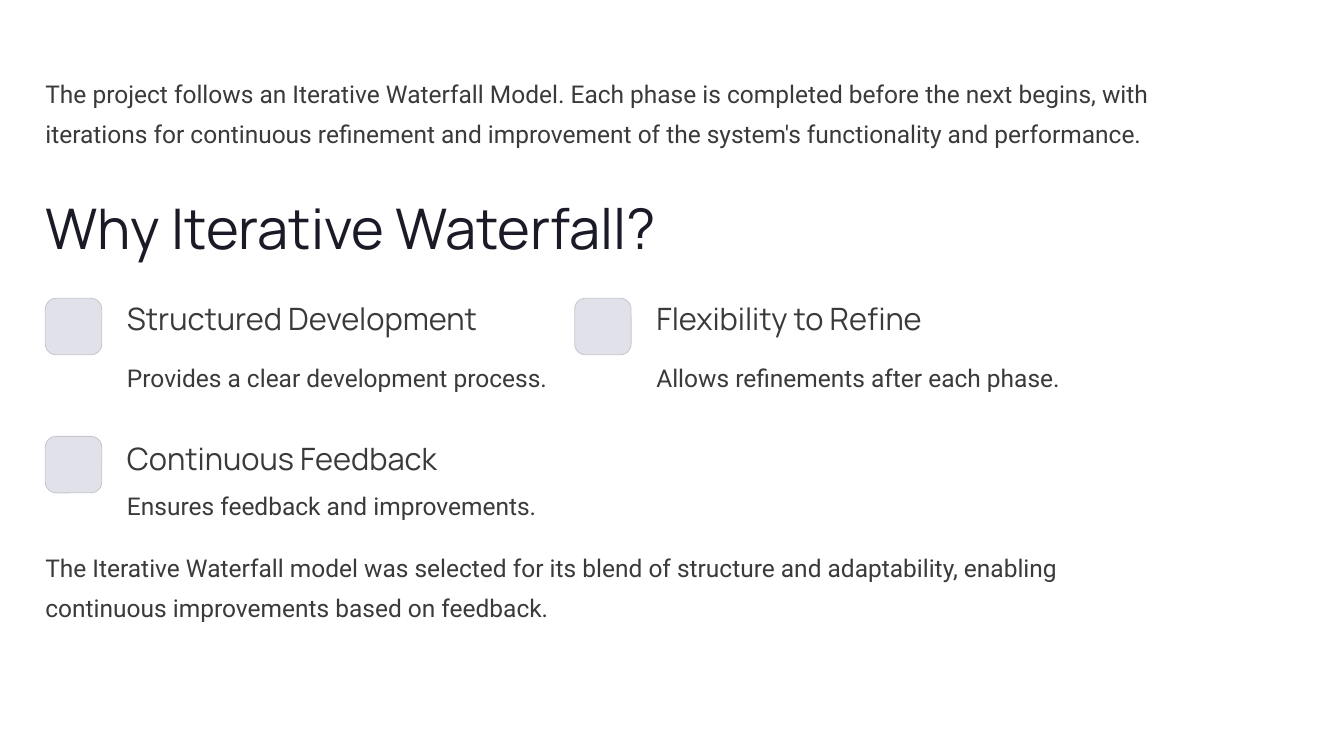
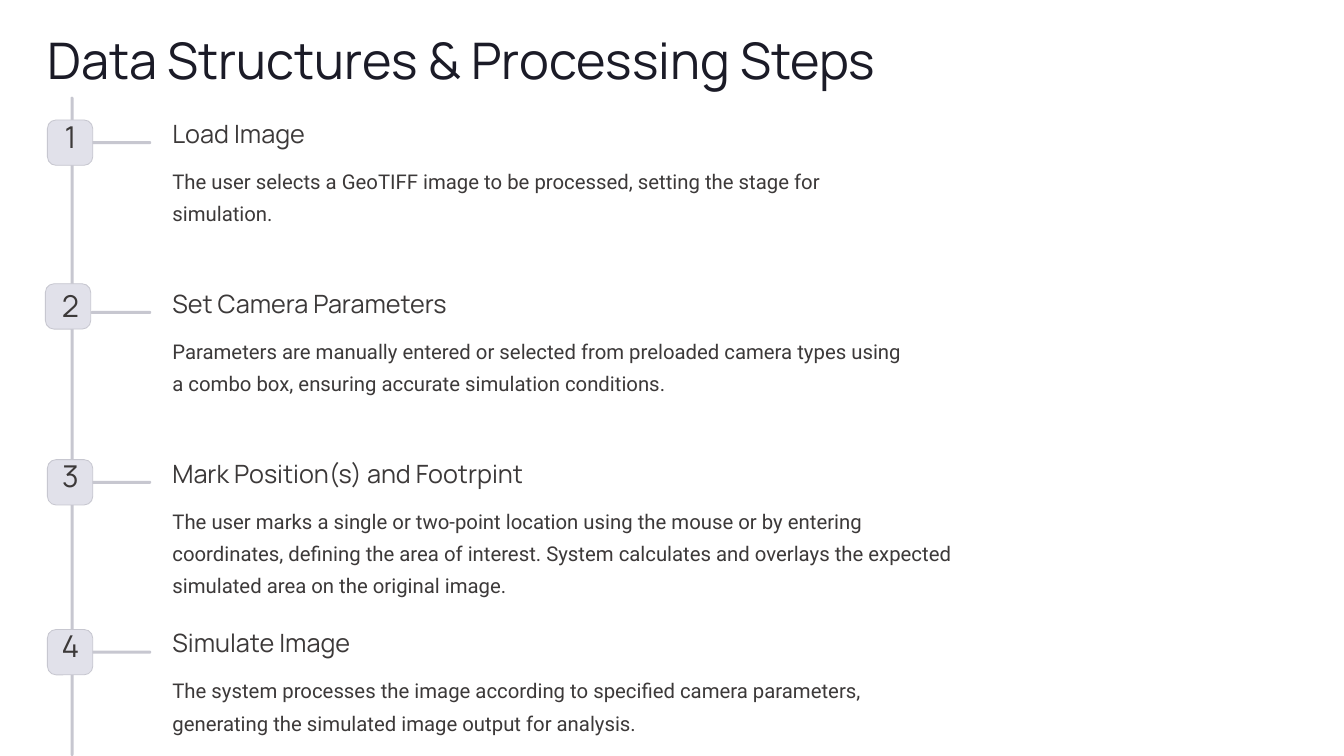
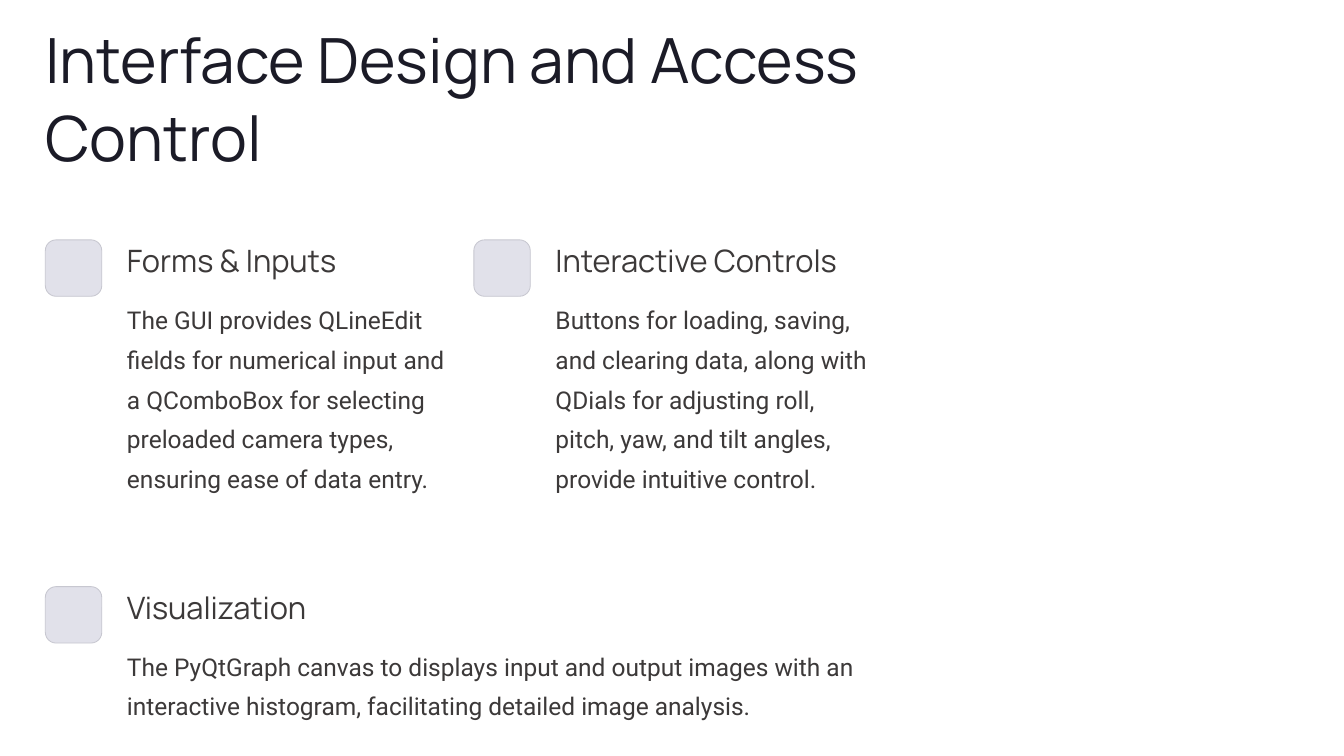
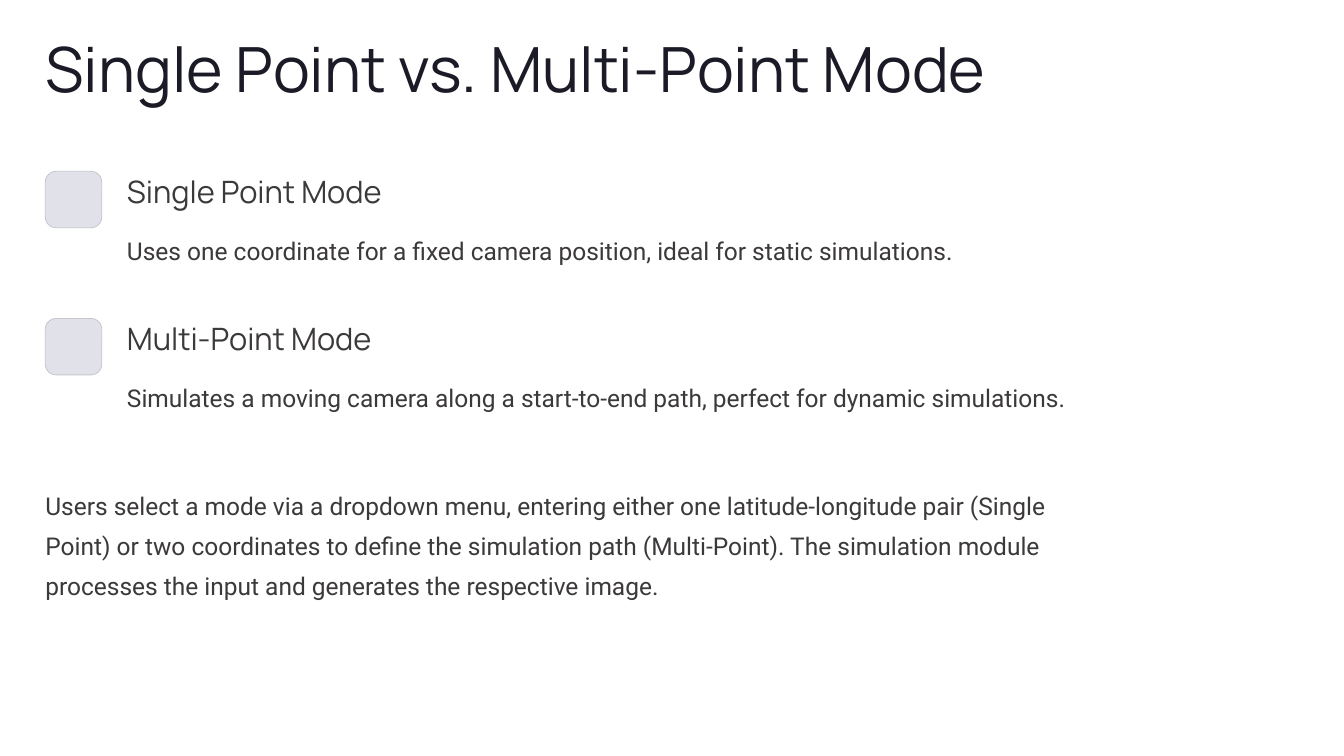
from dataclasses import dataclass

from pptx import Presentation
from pptx.dml.color import RGBColor
from pptx.enum.shapes import MSO_SHAPE
from pptx.enum.text import MSO_ANCHOR, MSO_AUTO_SIZE, PP_ALIGN
from pptx.presentation import Presentation as Deck
from pptx.shapes.base import BaseShape
from pptx.slide import Slide
from pptx.util import Inches, Pt

NAVY, INK, LILAC, GREY = "1B1B27", "3C3939", "E1E1EA", "C7C7D0"
MARGIN = 0.45
STEP_TOP, STEP_PITCH = 1.16, 1.685


@dataclass(frozen=True)
class Style:
    """Font, sizes in points and colour of one kind of text."""

    font: str
    size: float
    leading: float
    color: str = INK
    align: PP_ALIGN = PP_ALIGN.LEFT


TITLE = Style("Manrope", 44.5, 55.5, NAVY)
SMALL_TITLE = Style("Manrope", 40, 55.5, NAVY)
STEPS_TITLE = Style("Manrope", 36, 45, NAVY)
HEADING = Style("Manrope", 22, 27.5)
BODY = Style("Roboto", 17.5, 28.5)
STEP_NUMBER = Style("Manrope", 21.5, 21.5, align=PP_ALIGN.CENTER)
STEP_HEADING = Style("Manrope", 18, 22.5)
STEP_BODY = Style("Roboto", 14.5, 23)


@dataclass(frozen=True)
class Feature:
    """A badge with a heading and a description beside it."""

    left: float
    top: float
    heading: str
    body: str
    width: float
    height: float = 0.79
    heading_dy: float = 0
    body_dy: float = 0.54


@dataclass(frozen=True)
class Step:
    """One numbered stop on the timeline."""

    heading: str
    body: str
    width: float = 7.36
    height: float = 0.64
    badge_left: float = 0.47
    badge_dy: float = 0.03


WHY_FEATURES = [
    Feature(MARGIN, 2.96, "Structured Development",
            "Provides a clear development process.", 4.3),
    Feature(5.7, 2.96, "Flexibility to Refine",
            "Allows refinements after each phase.", 4.3, 0.4),
    Feature(MARGIN, 4.33, "Continuous Feedback",
            "Ensures feedback and improvements.", 9.46, 0.4, 0.02, 0.44),
]
STEPS = [
    Step("Load Image",
         "The user selects a GeoTIFF image to be processed, setting the stage "
         "for simulation."),
    Step("Set Camera Parameters",
         "Parameters are manually entered or selected from preloaded camera "
         "types using a combo box, ensuring accurate simulation conditions.",
         badge_left=0.45, badge_dy=-0.03),
    Step("Mark Position(s) and Footrpint",
         "The user marks a single or two-point location using the mouse or by "
         "entering coordinates, defining the area of interest. System "
         "calculates and overlays the expected simulated area on the original "
         "image.", 7.89, 0.93),
    Step("Simulate Image",
         "The system processes the image according to specified camera "
         "parameters, generating the simulated image output for analysis."),
]
INTERFACE_FEATURES = [
    Feature(MARGIN, 2.38, "Forms & Inputs",
            "The GUI provides QLineEdit fields for numerical input and a "
            "QComboBox for selecting preloaded camera types, ensuring ease of "
            "data entry.", 3.2, 2.38),
    Feature(4.7, 2.38, "Interactive Controls",
            "Buttons for loading, saving, and clearing data, along with QDials "
            "for adjusting roll, pitch, yaw, and tilt angles, provide "
            "intuitive control.", 3.2, 1.98),
    Feature(MARGIN, 5.82, "Visualization",
            "The PyQtGraph canvas to displays input and output images with an "
            "interactive histogram, facilitating detailed image analysis.",
            7.46),
]
MODE_FEATURES = [
    Feature(MARGIN, 1.7, "Single Point Mode",
            "Uses one coordinate for a fixed camera position, ideal for static "
            "simulations.", 9.46, 0.4),
    Feature(MARGIN, 3.16, "Multi-Point Mode",
            "Simulates a moving camera along a start-to-end path, perfect for "
            "dynamic simulations.", 9.46),
]


def rgb(color: str) -> RGBColor:
    """Turn a hex string into a colour."""
    return RGBColor.from_string(color)


def apply(target: object, values: dict) -> None:
    """Set every attribute named in values."""
    for name, value in values.items():
        setattr(target, name, value)


def write(sp: BaseShape, text: str, style: Style) -> None:
    """Fill a shape with one styled paragraph and no insets."""
    tf = sp.text_frame
    apply(tf, {"margin_left": 0, "margin_top": 0, "margin_right": 0,
               "margin_bottom": 0, "word_wrap": True,
               "auto_size": MSO_AUTO_SIZE.NONE,
               "vertical_anchor": MSO_ANCHOR.TOP})
    p = tf.paragraphs[0]
    apply(p, {"alignment": style.align, "line_spacing": Pt(style.leading),
              "space_before": Pt(0)})
    r = p.add_run()
    r.text = text
    apply(r.font, {"name": style.font, "size": Pt(style.size)})
    r.font.color.rgb = rgb(style.color)


def add_text(s: Slide, left: float, top: float, width: float, height: float,
             text: str, style: Style) -> None:
    """Add a text box."""
    sp = s.shapes.add_textbox(Inches(left), Inches(top), Inches(width),
                              Inches(height))
    write(sp, text, style)


def add_title_slide(prs: Deck, left: float, top: float, width: float,
                    height: float, text: str, style: Style = TITLE) -> Slide:
    """Add a slide whose title placeholder is placed and formatted."""
    s = prs.slides.add_slide(prs.slide_layouts.get_by_name("Title Only"))
    sp = s.shapes.title
    apply(sp, {"left": Inches(left), "top": Inches(top),
               "width": Inches(width), "height": Inches(height)})
    write(sp, text, style)
    return s


def add_rounded(s: Slide, left: float, top: float, width: float, height: float,
                fill: str, radius: float, line: str = "") -> None:
    """Add a rounded rectangle, outlined only when a line colour is given."""
    sp = s.shapes.add_shape(MSO_SHAPE.ROUNDED_RECTANGLE, Inches(left),
                            Inches(top), Inches(width), Inches(height))
    sp.shadow.inherit = False
    sp.adjustments[0] = radius
    sp.fill.solid()
    sp.fill.fore_color.rgb = rgb(fill)
    if line:
        sp.line.color.rgb = rgb(line)
        sp.line.width = Pt(0.6)
    else:
        sp.line.fill.background()


def add_badge(s: Slide, left: float, top: float, size: float) -> None:
    """Add a square outlined badge."""
    add_rounded(s, left, top, size, size, LILAC, 0.19, GREY)


def add_bar(s: Slide, left: float, top: float, width: float,
            height: float) -> None:
    """Add a thin round-ended timeline bar."""
    add_rounded(s, left, top, width, height, GREY, 0.5)


def add_features(s: Slide, features: list[Feature]) -> None:
    """Draw each feature's badge, heading and description."""
    for f in features:
        x = f.left + 0.81
        add_badge(s, f.left, f.top, 0.56)
        add_text(s, x, f.top + f.heading_dy, 4, 0.39, f.heading, HEADING)
        add_text(s, x, f.top + f.body_dy, f.width, f.height, f.body, BODY)


def add_timeline(s: Slide, steps: list[Step]) -> None:
    """Draw the spine and the evenly spaced numbered steps."""
    add_bar(s, 0.7, 0.96, 0.03, 6.54)
    for i, step in enumerate(steps):
        top = STEP_TOP + i * STEP_PITCH
        add_bar(s, 0.9, top + 0.24, 0.6, 0.03)
        add_badge(s, step.badge_left, top + step.badge_dy, 0.45)
        add_text(s, 0.55, top + 0.07, 0.3, 0.38, str(i + 1), STEP_NUMBER)
        add_text(s, 1.71, top, 5, 0.31, step.heading, STEP_HEADING)
        add_text(s, 1.71, top + 0.44, step.width, step.height, step.body,
                 STEP_BODY)


def main() -> None:
    """Build the four slides and save them."""
    prs = Presentation()
    apply(prs, {"slide_width": Inches(13.33), "slide_height": Inches(7.5)})

    s = add_title_slide(prs, MARGIN, 1.82, 6.81, 0.78,
                        "Why Iterative Waterfall?", SMALL_TITLE)
    add_text(s, MARGIN, 0.68, 11.42, 0.95,
             "The project follows an Iterative Waterfall Model. Each phase is "
             "completed before the next begins, with iterations for continuous "
             "refinement and improvement of the system's functionality and "
             "performance.", BODY)
    add_features(s, WHY_FEATURES)
    add_text(s, MARGIN, 5.38, 10.26, 0.79,
             "The Iterative Waterfall model was selected for its blend of "
             "structure and adaptability, enabling continuous improvements "
             "based on feedback.", BODY)

    s = add_title_slide(prs, 0.47, 0.26, 9, 0.63,
                        "Data Structures & Processing Steps", STEPS_TITLE)
    add_timeline(s, STEPS)

    s = add_title_slide(prs, MARGIN, 0.18, 8.26, 1.55,
                        "Interface Design and Access Control")
    add_features(s, INTERFACE_FEATURES)

    s = add_title_slide(prs, MARGIN, 0.27, 10, 0.78,
                        "Single Point vs. Multi-Point Mode")
    add_features(s, MODE_FEATURES)
    add_text(s, MARGIN, 4.77, 10.26, 1.19,
             "Users select a mode via a dropdown menu, entering either one "
             "latitude-longitude pair (Single Point) or two coordinates to "
             "define the simulation path (Multi-Point). The simulation module "
             "processes the input and generates the respective image.", BODY)

    prs.save("out.pptx")


if __name__ == "__main__":
    main()
